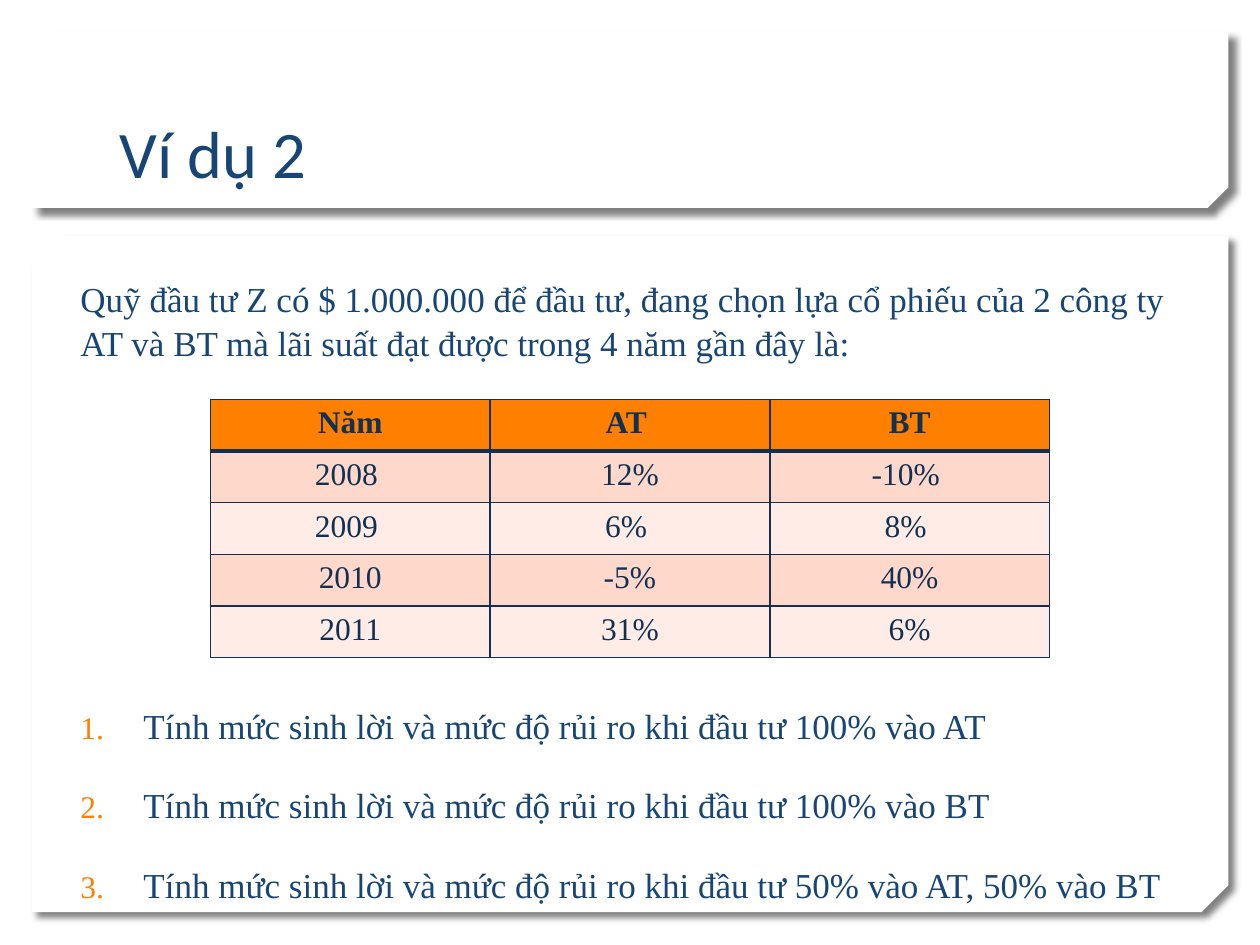
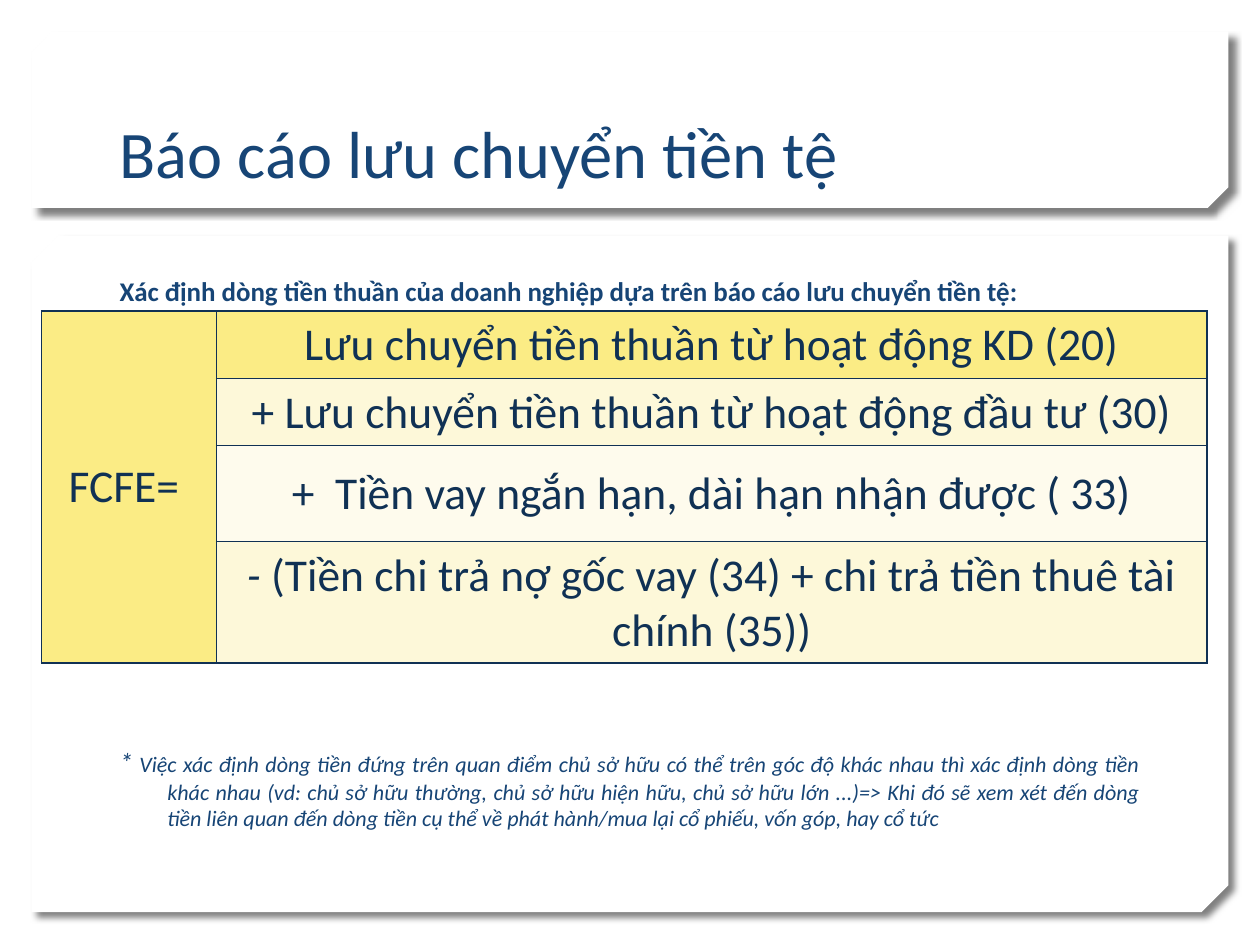
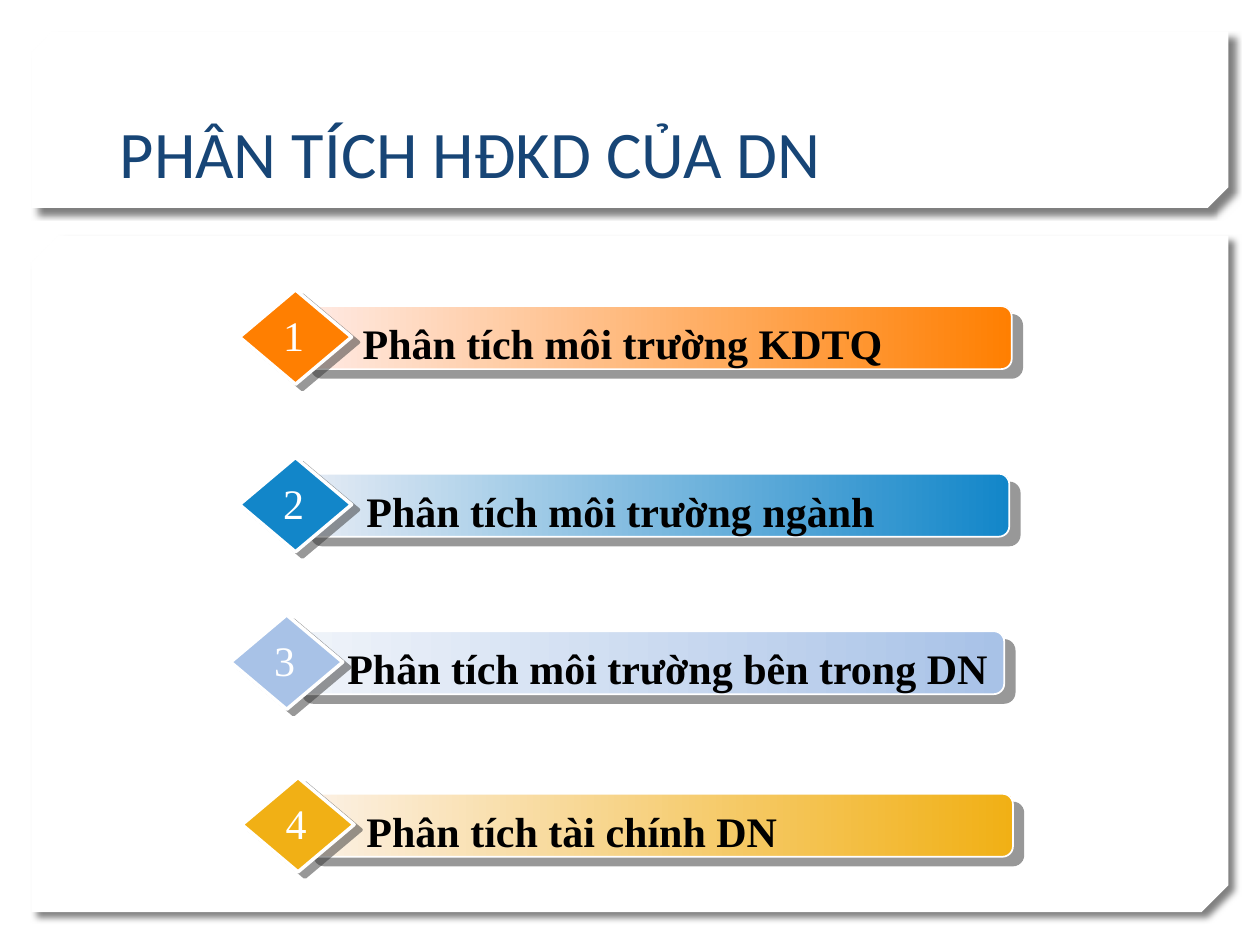
import dataclasses
import typing

import pptx
import pptx.dml.color
import pptx.enum.shapes
import pptx.enum.text
import pptx.oxml
import pptx.oxml.ns
import pptx.util

Inches = pptx.util.Inches
Pt = pptx.util.Pt
qn = pptx.oxml.ns.qn
SHAPE = pptx.enum.shapes.MSO_SHAPE
ALIGN = pptx.enum.text.PP_ALIGN
ANCHOR = pptx.enum.text.MSO_ANCHOR

SANS = "Calibri"
SERIF = "Times New Roman"
COLORS = {
    "white": "FFFFFF", "black": "000000", "shade": "333333",
    "navy": "174576", "ink": "103154", "orange": "FF7F01",
    "rose": "FFD8CC", "blush": "FFECE7", "gold": "FBEC85",
    "cream": "FDF8D9", "ivory": "FEFBED", "blue": "1286C9",
    "sky": "A8C2E7", "amber": "F1B015", "peach": "FFEBE6",
    "mist": "E6ECF5", "frost": "F0F4FA", "sand": "FCF1E6",
}


class Box(typing.NamedTuple):
    left: float
    top: float
    width: float
    height: float

    def emu(self) -> list[int]:
        return [Inches(side) for side in self]


class Style(typing.NamedTuple):
    size: float
    font: str
    color: str
    bold: bool = False
    italic: bool = False


class Shadow(typing.NamedTuple):
    color: str
    blur: float
    dist: float
    angle: int


@dataclasses.dataclass
class Panel:
    box: Box
    snip: float


@dataclasses.dataclass
class Bar:
    label: str
    left: float
    top: float
    end: float
    start: float
    width: float
    pale: str
    color: str
    align: typing.Any = ALIGN.LEFT


PANELS = [Panel(Box(0.25, 1.87, 9.5, 5.37), 0.04),
          Panel(Box(0.25, 0.25, 9.5, 1.4), 0.117)]
TITLE = Box(0.85, 0.32, 8.29, 1.25)
HEAD = Style(38, SANS, "navy")
BODY = Style(20, SERIF, "navy")
SOFT = Shadow("black", 4, 5, 45)
HARD = Shadow("shade", 0, 7.8, 40)
EDGE = Shadow("shade", 0, 5, 37)

INTRO = ("Quỹ đầu tư Z có $ 1.000.000 để đầu tư, đang chọn lựa cổ phiếu của 2 công ty "
         "AT và BT mà lãi suất đạt được trong 4 năm gần đây là:")
TASK = "Tính mức sinh lời và mức độ rủi ro khi đầu tư "
SHARES = ["100% vào AT", "100% vào BT", "50% vào AT, 50% vào BT"]
YIELDS = [["Năm", "AT ", "BT"], ["2008 ", "12%", "-10% "], ["2009 ", "6% ", "8% "],
          ["2010", "-5%", "40%"], ["2011", "31%", "6%"]]
LEAD = "Xác định dòng tiền thuần của doanh nghiệp dựa trên báo cáo lưu chuyển tiền tệ:"
NOTE = (" Việc xác định dòng tiền đứng trên quan điểm chủ sở hữu có thể trên góc độ khác nhau "
        "thì xác định dòng tiền khác nhau (vd: chủ sở hữu thường, chủ sở hữu hiện hữu, chủ sở "
        "hữu lớn ...)=> Khi đó sẽ xem xét đến dòng tiền liên quan đến dòng tiền cụ thể về phát "
        "hành/mua lại cổ phiếu, vốn góp, hay cổ tức")
FLOWS = [("", "Lưu chuyển tiền thuần từ hoạt động KD (20)", "gold"),
         ("", "+ Lưu chuyển tiền thuần từ hoạt động đầu tư (30)", "cream"),
         ("", "+  Tiền vay ngắn hạn, dài hạn nhận được ( 33)", "ivory"),
         ("- ", "(Tiền chi trả nợ gốc vay (34) + chi trả tiền thuê tài chính (35))", "cream")]
BARS = [
    Bar("Phân tích môi trường KDTQ", 1.9, 2.3, 8.03, 2.78, 5.24, "peach", "orange"),
    Bar("Phân tích môi trường ngành", 1.9, 3.63, 8.01, 2.81, 5.23, "mist", "blue"),
    Bar("Phân tích môi trường bên trong DN ", 1.83, 4.88, 7.97, 2.6, 5.42,
        "frost", "sky", ALIGN.RIGHT),
    Bar("Phân tích tài chính DN", 1.92, 6.17, 8.04, 2.81, 5.52, "sand", "amber"),
]


def rgb(name: str) -> pptx.dml.color.RGBColor:
    return pptx.dml.color.RGBColor.from_string(COLORS[name])


def xml(tag: str, body: str = "") -> typing.Any:
    name = tag.split()[0]
    return pptx.oxml.parse_xml(
        f"<a:{tag} {pptx.oxml.ns.nsdecls('a')}>{body}</a:{name}>")


def write(para: typing.Any, text: str, style: Style) -> None:
    run = para.add_run()
    run.text = text
    font = run.font
    font.size, font.name = Pt(style.size), style.font
    font.bold, font.italic = style.bold, style.italic
    font.color.rgb = rgb(style.color)


def add_box(shapes: typing.Any, box: Box, wrap: bool = True) -> typing.Any:
    frame = shapes.add_textbox(*box.emu()).text_frame
    frame.word_wrap = wrap
    return frame


def indent(para: typing.Any, depth: float) -> typing.Any:
    props = para._p.get_or_add_pPr()
    props.set("marL", str(Inches(depth)))
    props.set("indent", str(-Inches(depth)))
    return props


def cast(shape: typing.Any, shadow: Shadow) -> None:
    shape.shadow.inherit = False
    effects = shape.element.spPr.find(qn("a:effectLst"))
    effects.append(xml(
        f'outerShdw blurRad="{Pt(shadow.blur)}" dist="{Pt(shadow.dist)}" '
        f'dir="{shadow.angle * 60000}" algn="ctr" rotWithShape="0"',
        f'<a:srgbClr val="{COLORS[shadow.color]}"><a:alpha val="50000"/></a:srgbClr>'))


def paint(shape: typing.Any, color: str) -> None:
    shape.fill.solid()
    shape.fill.fore_color.rgb = rgb(color)


def outline(shape: typing.Any, width: float) -> None:
    shape.line.color.rgb = rgb("white")
    shape.line.width = Pt(width)


def add_panels(slide: typing.Any) -> None:
    tree = slide.slide_layout.shapes.element
    for spot, panel in enumerate(PANELS, 2):
        shape = slide.shapes.add_shape(SHAPE.SNIP_2_DIAG_RECTANGLE, *panel.box.emu())
        shape.adjustments[0], shape.adjustments[1] = 0, panel.snip
        shape.element.spPr.find(qn("a:xfrm")).set("flipV", "1")
        paint(shape, "white")
        shape.line.fill.background()
        cast(shape, SOFT)
        tree.insert(spot, shape.element)


def add_slide(deck: typing.Any, text: str) -> typing.Any:
    slide = deck.slides.add_slide(deck.slide_layouts[5])
    title = slide.shapes.title
    title.left, title.top, title.width, title.height = TITLE.emu()
    frame = title.text_frame
    frame.vertical_anchor = ANCHOR.BOTTOM
    para = frame.paragraphs[0]
    para.alignment = ALIGN.LEFT
    write(para, text, HEAD)
    return slide


def add_grid(slide: typing.Any, box: Box, cols: list[float], rows: list[float]) -> typing.Any:
    table = slide.shapes.add_table(len(rows), len(cols), *box.emu()).table
    table.first_row = table.horz_banding = False
    for col, width in zip(table.columns, cols):
        col.width = Inches(width)
    for row, height in zip(table.rows, rows):
        row.height = Inches(height)
    return table


def dress(cell: typing.Any, color: str, top: float = 1, bottom: float = 1) -> typing.Any:
    props = cell._tc.get_or_add_tcPr()
    for side, width in zip("LRTB", (1, 1, top, bottom)):
        props.append(xml(f'ln{side} w="{Pt(width)}"',
                         f'<a:solidFill><a:srgbClr val="{COLORS["ink"]}"/></a:solidFill>'))
    paint(cell, color)
    para = cell.text_frame.paragraphs[0]
    para.alignment = ALIGN.CENTER
    return para


def add_yields(deck: typing.Any) -> typing.Any:
    slide = add_slide(deck, "Ví dụ 2")
    para = add_box(slide.shapes, Box(0.54, 2.13, 9.11, 0.8)).paragraphs[0]
    para.line_spacing = 1.06
    write(para, INTRO, BODY)

    frame = add_box(slide.shapes, Box(0.54, 5.52, 9.11, 1.7))
    for place, share in enumerate(SHARES):
        para = frame.add_paragraph() if place else frame.paragraphs[0]
        para.line_spacing = 1.06
        para.space_before = Pt(20 if place else 0)
        props = indent(para, 0.5)
        props.append(xml("buClr", f'<a:srgbClr val="{COLORS["orange"]}"/>'))
        props.append(xml('buSzPct val="90000"'))
        props.append(xml('buAutoNum type="arabicPeriod"'))
        write(para, TASK + share, BODY)

    table = add_grid(slide, Box(1.67, 3.17, 6.67, 2.03), [2.22] * 3, [0.41] * 5)
    for row, words in enumerate(YIELDS):
        color = "orange" if row == 0 else ("blush", "rose")[row % 2]
        for col, word in enumerate(words):
            para = dress(table.cell(row, col), color, 3 if row == 1 else 1, 1 if row else 3)
            write(para, word, Style(18, SERIF, "ink", bold=row == 0))
    return slide


def add_flows(deck: typing.Any) -> None:
    slide = add_slide(deck, "Báo cáo lưu chuyển tiền tệ")
    para = add_box(slide.shapes, Box(0.85, 2.13, 8.29, 0.36)).paragraphs[0]
    indent(para, 0.38)
    write(para, LEAD, Style(15.4, SANS, "navy", bold=True))
    para = add_box(slide.shapes, Box(0.85, 5.87, 8.29, 0.8)).paragraphs[0]
    indent(para, 0.38)
    para.alignment = ALIGN.JUSTIFY
    for size, text in ((15.4, "*"), (12.6, NOTE)):
        write(para, text, Style(size, SANS, "navy", italic=True))

    style = Style(26, SANS, "ink")
    table = add_grid(slide, Box(0.33, 2.47, 9.25, 2.4), [1.39, 7.86], [0.44, 0.44, 0.76, 0.76])
    table.cell(0, 0).merge(table.cell(3, 0))
    for row, (sign, text, color) in enumerate(FLOWS):
        side, cell = table.cell(row, 0), table.cell(row, 1)
        side.vertical_anchor = cell.vertical_anchor = ANCHOR.MIDDLE
        para = dress(side, "gold")
        if row == 0:
            write(para, "FCFE= ", style)
        para = dress(cell, color)
        if sign:
            write(para, sign, style._replace(italic=True))
        write(para, text, style)


def add_bar(slide: typing.Any, bar: Bar, number: int) -> None:
    shapes = slide.shapes.add_group_shape().shapes
    left = bar.left + 0.49
    strip = shapes.add_shape(SHAPE.ROUNDED_RECTANGLE,
                             *Box(left, bar.top + 0.13, bar.end - left, 0.5).emu())
    strip.fill.gradient()
    strip.fill.gradient_angle = 0
    for stop, color in zip(strip.fill.gradient_stops, (bar.pale, bar.color)):
        stop.color.rgb = rgb(color)
    outline(strip, 1)
    cast(strip, HARD)

    gem = shapes.add_shape(SHAPE.DIAMOND, *Box(bar.left, bar.top, 0.89, 0.75).emu())
    paint(gem, bar.color)
    outline(gem, 2)
    cast(gem, EDGE)

    para = add_box(shapes, Box(bar.start, bar.top + 0.17, bar.width, 0.51)).paragraphs[0]
    para.alignment = bar.align
    write(para, bar.label, Style(24, SERIF, "black", bold=True))
    spot = Box(bar.left + 0.2, bar.top + 0.11, 0.46, 0.5)
    para = add_box(shapes, spot, wrap=False).paragraphs[0]
    para.alignment = ALIGN.CENTER
    write(para, str(number), Style(24, SERIF, "white"))


def main() -> None:
    """Build the three finance slides."""
    deck = pptx.Presentation()
    deck.slide_width, deck.slide_height = Inches(10), Inches(7.5)
    add_panels(add_yields(deck))
    add_flows(deck)
    slide = add_slide(deck, "PHÂN TÍCH HĐKD CỦA DN")
    for number, bar in enumerate(BARS, 1):
        add_bar(slide, bar, number)
    deck.save("out.pptx")


if __name__ == "__main__":
    main()
